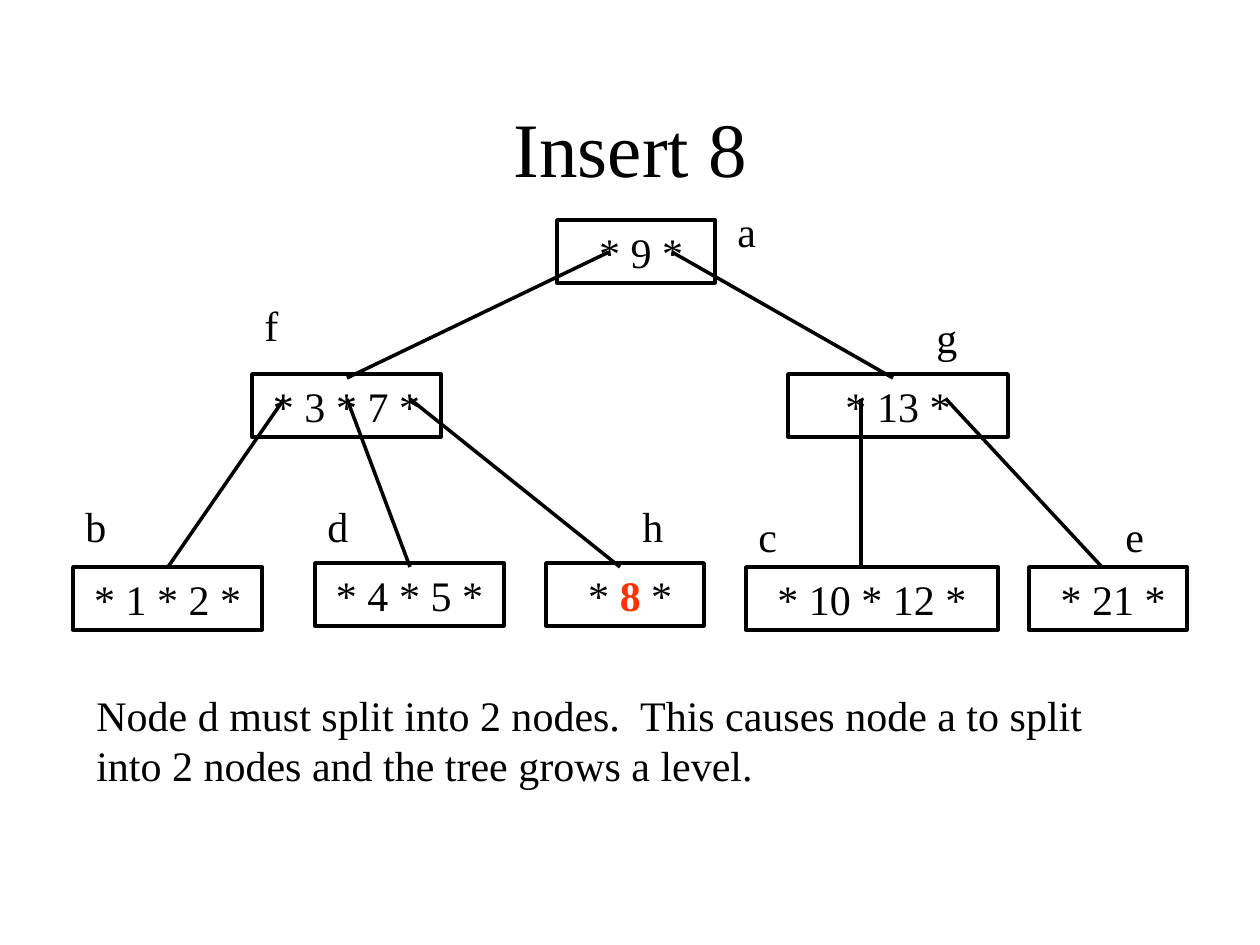
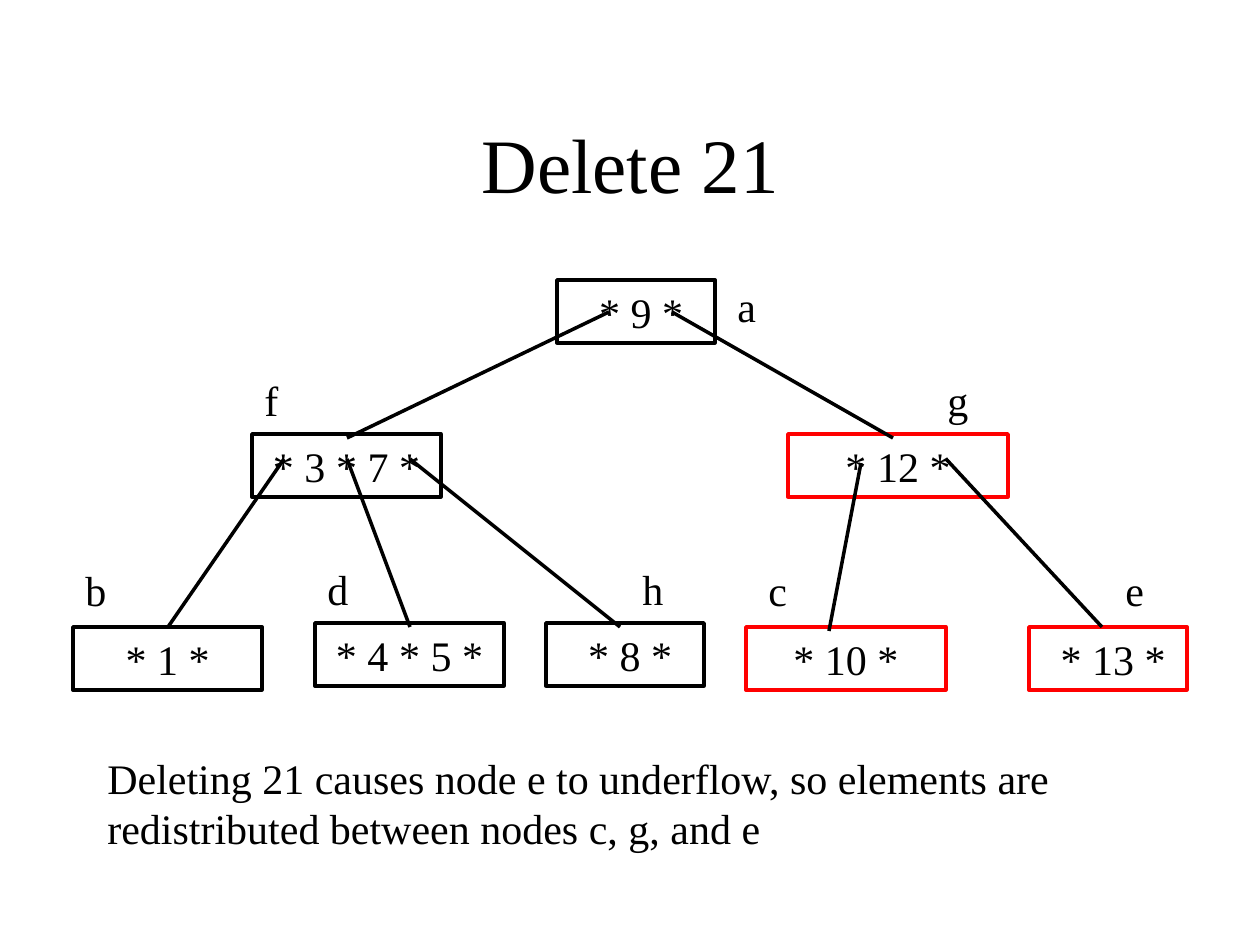
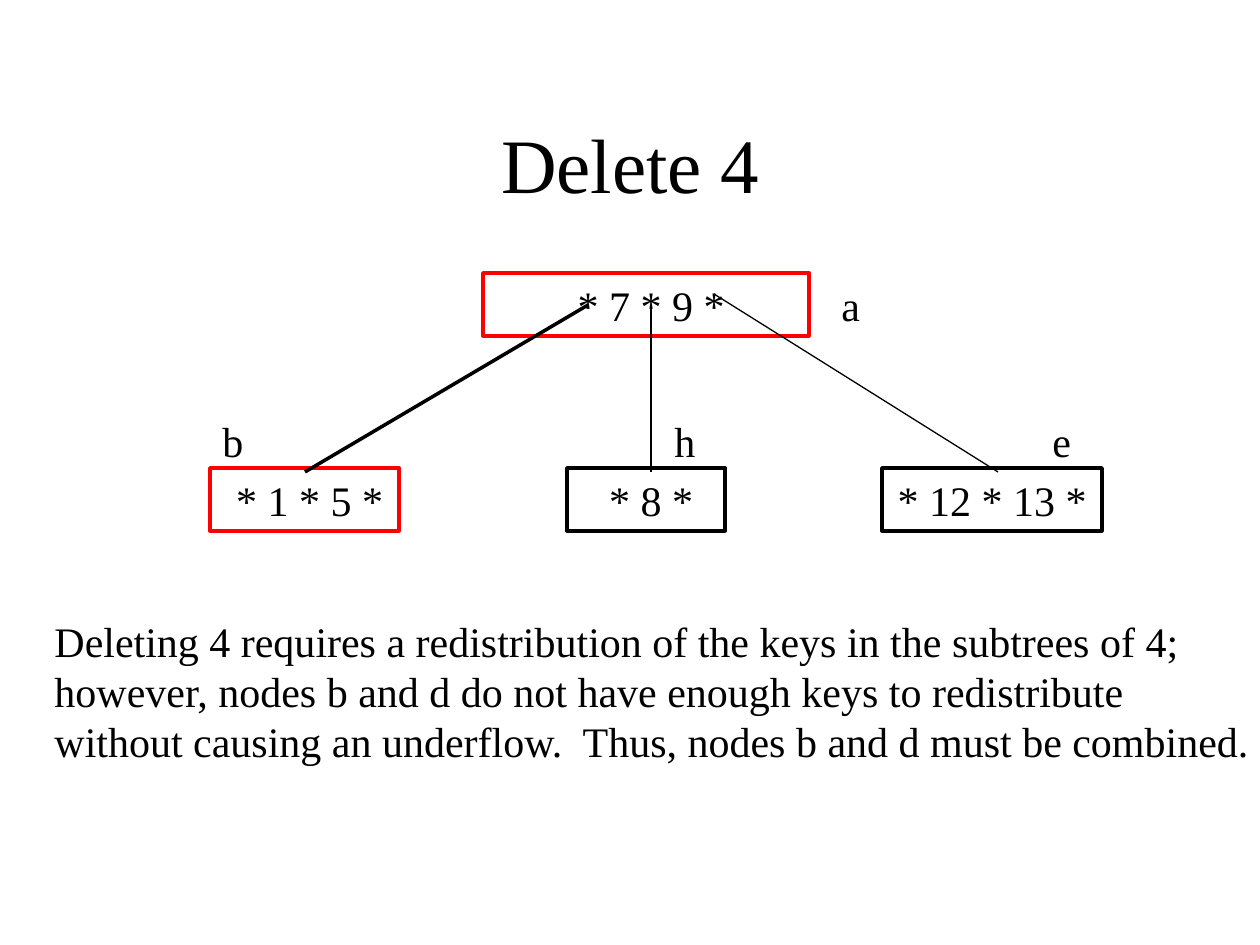
from dataclasses import dataclass, replace

from pptx import Presentation
from pptx import util as u
from pptx.dml.color import RGBColor
from pptx.enum import shapes, text
from pptx.oxml.ns import qn
from lxml import etree

PX_PER_INCH = 126
FONT = "Times New Roman"
COLORS = {"black": "000000", "changed": "FF0000", "new_key": "FF3300"}
TITLE_SIZE, BODY_SIZE = 44, 24
NODE_HEIGHT = LABEL_SIZE = 63


@dataclass
class Node:
    """A tree node; left and top are relative to the tree, label to the node."""
    left: int
    top: int
    width: int
    keys: str
    label: tuple
    color: str = "black"
    new_key: str = ""


@dataclass
class Edge:
    """A line whose ends are relative to the parent and the child node."""
    parent: str
    start: tuple
    child: str
    end: tuple
    weight: float = 2


def px(value):
    return u.Emu(round(value * u.Inches(1) / PX_PER_INCH))


def rgb(name):
    return RGBColor.from_string(COLORS[name])


def style_text(shape, size=BODY_SIZE, align=text.PP_ALIGN.LEFT,
               anchor=text.MSO_ANCHOR.TOP, space_before=15, fit=True):
    frame = shape.text_frame
    frame.word_wrap = True
    frame.vertical_anchor = anchor
    if fit:
        frame.auto_size = text.MSO_AUTO_SIZE.SHAPE_TO_FIT_TEXT
    for paragraph in frame.paragraphs:
        paragraph.alignment = align
        paragraph.space_before = u.Pt(space_before)
        for run in paragraph.runs:
            run.font.name = FONT
            run.font.size = u.Pt(size)
            run.font.color.rgb = rgb("black")


def add_text(slide, box, words, **style):
    shape = slide.shapes.add_textbox(*map(px, box))
    shape.text_frame.text = words
    style_text(shape, **style)


def add_title(slide, words, height):
    add_text(slide, (95, 84, 1071, height), words, size=TITLE_SIZE,
             align=text.PP_ALIGN.CENTER, anchor=text.MSO_ANCHOR.MIDDLE,
             space_before=0, fit=False)


def add_node(slide, left, top, node):
    shape = slide.shapes.add_shape(
        shapes.MSO_SHAPE.RECTANGLE, px(left + node.left), px(top + node.top),
        px(node.width), px(NODE_HEIGHT))
    shape.shadow.inherit = False
    shape.fill.background()
    shape.line.color.rgb = rgb(node.color)
    shape.line.width = u.Pt(2)
    paragraph = shape.text_frame.paragraphs[0]
    if node.new_key:
        before, after = node.keys.split(node.new_key)
        for part in (before, node.new_key, after):
            paragraph.add_run().text = part
    else:
        paragraph.text = node.keys
    style_text(shape, align=text.PP_ALIGN.CENTER)
    if node.new_key:
        font = paragraph.runs[1].font
        font.bold = True
        font.color.rgb = rgb("new_key")


def add_edge(slide, left, top, nodes, edge):
    ends = []
    for name, (x, y) in ((edge.parent, edge.start), (edge.child, edge.end)):
        node = nodes[name]
        ends += [px(left + node.left + x), px(top + node.top + y)]
    line = slide.shapes.add_connector(shapes.MSO_CONNECTOR.STRAIGHT, *ends)
    line.line.color.rgb = rgb("black")
    line.line.width = u.Pt(edge.weight)
    etree.SubElement(line._element.spPr, qn("a:effectLst"))


def add_tree(slide, left, top, nodes, edges):
    for node in nodes.values():
        add_node(slide, left, top, node)
    for edge in edges:
        add_edge(slide, left, top, nodes, edge)
    for name, node in nodes.items():
        x, y = node.label
        add_text(slide, (left + node.left + x, top + node.top + y,
                         LABEL_SIZE, LABEL_SIZE), name)


def add_tree_slide(presentation, title, title_height, origin, nodes, edges,
                   caption, caption_box):
    slide = presentation.slides.add_slide(presentation.slide_layouts[6])
    add_title(slide, title, title_height)
    add_tree(slide, *origin, nodes, edges)
    add_text(slide, caption_box, caption)


INSERT_NODES = {
    "a": Node(484, 0, 158, " * 9 *", (168, -21)),
    "f": Node(179, 154, 189, "* 3 * 7 *", (0, -81)),
    "g": Node(715, 154, 220, "* 13 *", (136, -69)),
    "b": Node(0, 347, 189, "* 1 * 2 *", (0, -73)),
    "d": Node(242, 343, 189, "* 4 * 5 *", (0, -69)),
    "h": Node(473, 343, 158, " * 8 *", (84, -69), new_key="8"),
    "c": Node(673, 347, 252, "* 10 * 12 *", (0, -63)),
    "e": Node(956, 347, 158, " * 21 *", (84, -63)),
}
SHARED_EDGES = [
    Edge("a", (52, 32), "f", (95, 4)),
    Edge("a", (115, 32), "g", (105, 4)),
    Edge("f", (32, 25), "b", (95, 0)),
    Edge("f", (95, 25), "d", (95, 4)),
    Edge("f", (158, 25), "h", (74, 4)),
    Edge("g", (158, 25), "e", (73, 0)),
]
INSERT_EDGES = SHARED_EDGES + [Edge("g", (73, 25), "c", (115, 0))]

DELETE_21_CHANGES = {
    "a": dict(label=(168, -6)),
    "f": dict(label=(0, -66)),
    "g": dict(keys="* 12 *", label=(147, -66), color="changed"),
    "b": dict(keys="* 1 *", label=(0, -69)),
    "d": dict(label=(0, -66)),
    "h": dict(label=(84, -66), new_key=""),
    "c": dict(width=200, keys="* 10 *", label=(10, -69), color="changed"),
    "e": dict(keys=" * 13 *", label=(84, -69), color="changed"),
}
DELETE_21_NODES = {name: replace(node, **DELETE_21_CHANGES[name])
                   for name, node in INSERT_NODES.items()}
DELETE_21_EDGES = SHARED_EDGES + [Edge("g", (73, 29), "c", (83, 4))]

DELETE_4_NODES = {
    "a": Node(273, 0, 326, " * 7 * 9 *", (346, 0), "changed"),
    "b": Node(0, 195, 189, " * 1 * 5 *", (0, -59), "changed"),
    "h": Node(357, 195, 158, " * 8 *", (95, -59)),
    "e": Node(672, 195, 220, "* 12 * 13 *", (158, -59)),
}
DELETE_4_EDGES = [
    Edge("a", (105, 32), "b", (95, 4)),
    Edge("a", (168, 32), "h", (84, 4), 0.75),
    Edge("a", (231, 21), "e", (116, 4), 0.75),
]


def main():
    presentation = Presentation()
    presentation.slide_width, presentation.slide_height = px(1260), px(945)
    add_tree_slide(
        presentation, "Insert 8", 126, (73, 220), INSERT_NODES, INSERT_EDGES,
        "Node d must split into 2 nodes.  This causes node a to split into "
        "2 nodes and the tree grows a level.", (84, 683, 1061, 113))
    add_tree_slide(
        presentation, "Delete 21", 158, (73, 280), DELETE_21_NODES,
        DELETE_21_EDGES,
        "Deleting 21 causes node e to underflow, so elements are "
        "redistributed between nodes c, g, and e", (95, 746, 1018, 113))
    add_tree_slide(
        presentation, "Delete 4", 158, (210, 273), DELETE_4_NODES,
        DELETE_4_EDGES,
        "Deleting 4 requires a redistribution of the keys in the subtrees "
        "of 4; however, nodes b and d do not have enough keys to "
        "redistribute without causing an underflow.  Thus, nodes b and d "
        "must be combined.", (42, 609, 1229, 164))
    presentation.save("out.pptx")


if __name__ == "__main__":
    main()
